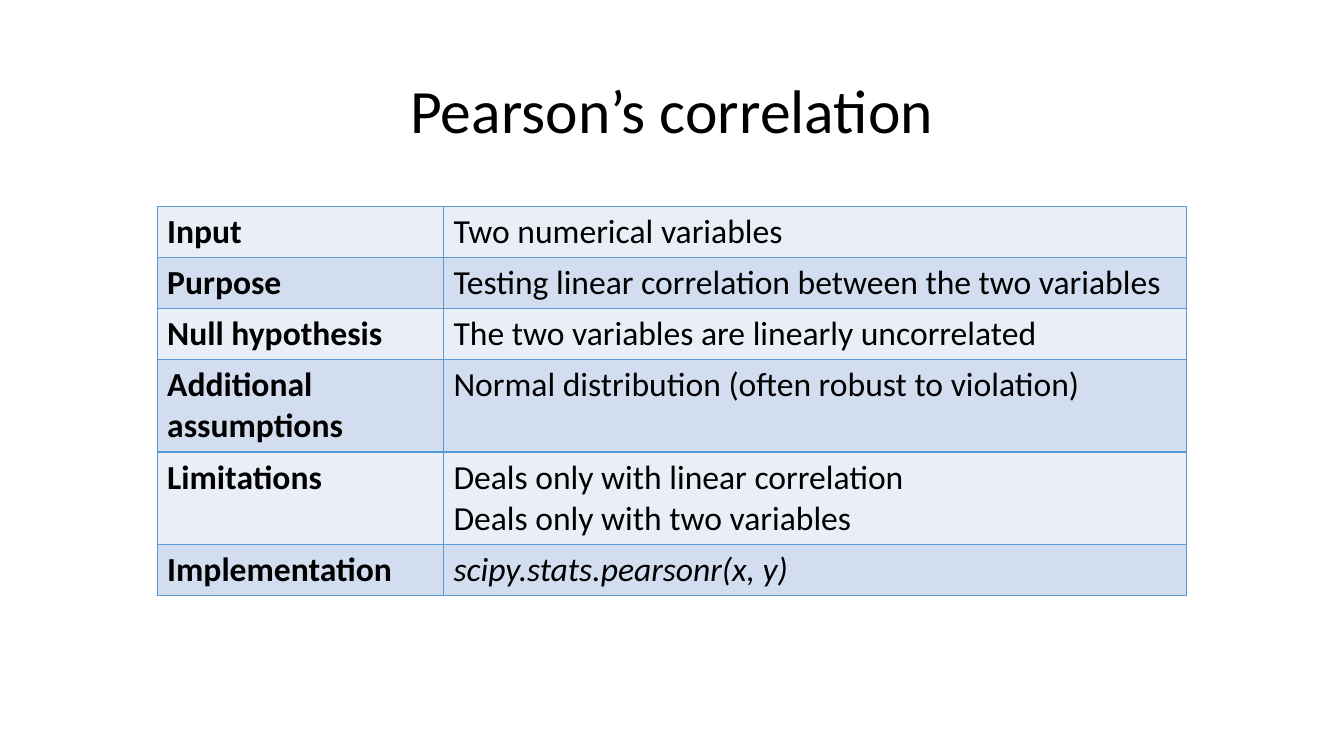
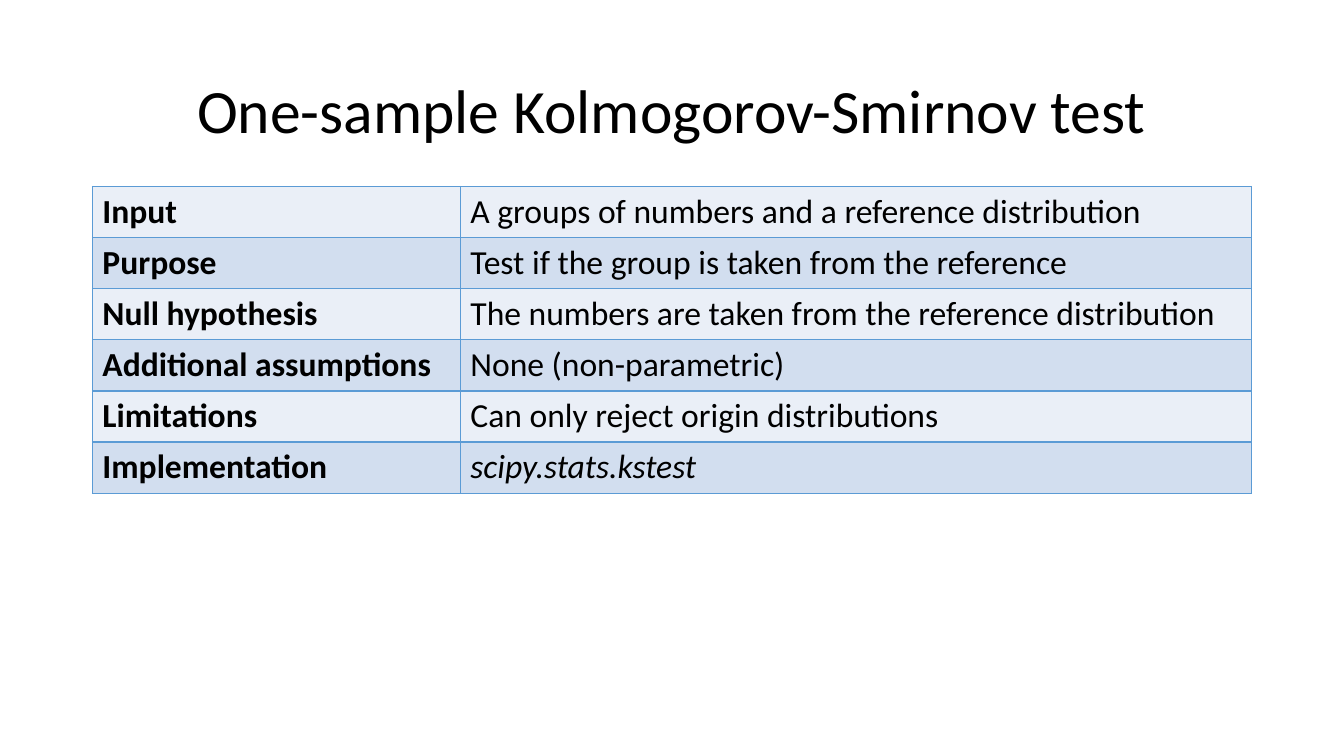
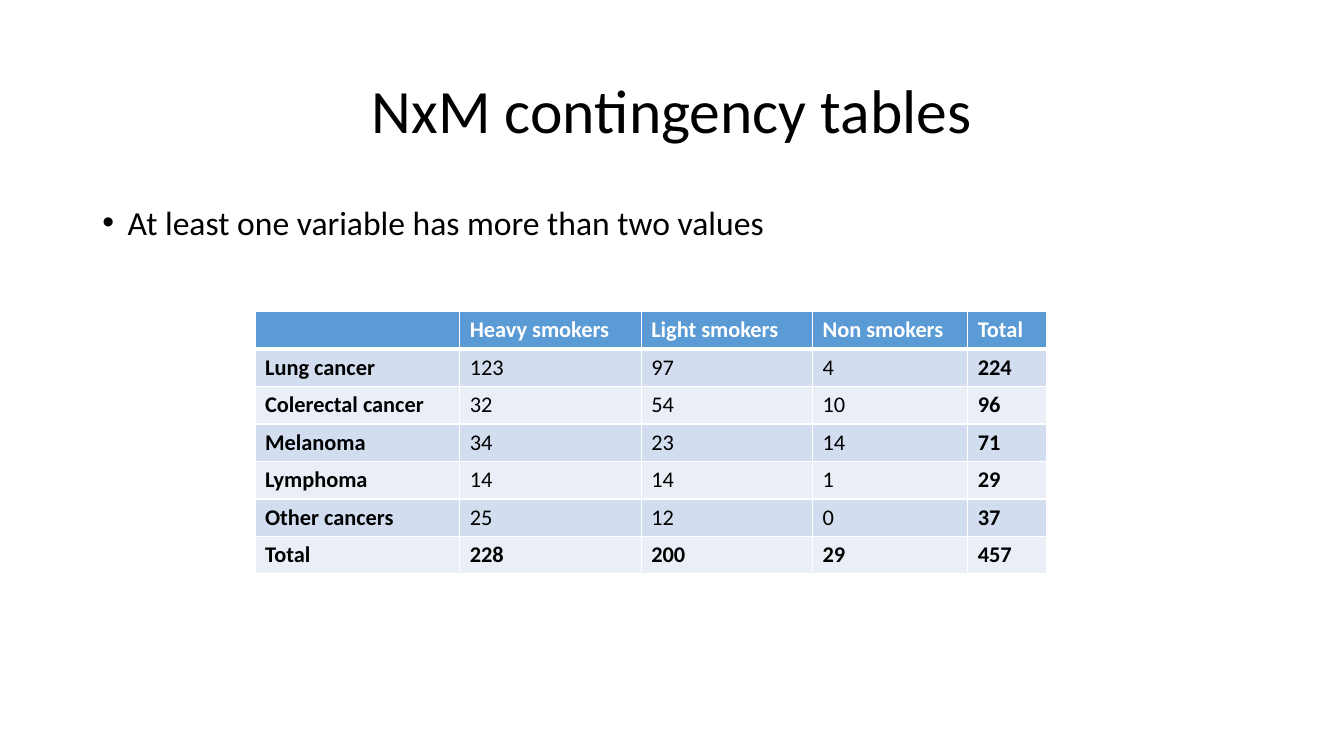
from lxml.etree import SubElement
from pptx import Presentation
from pptx.dml.color import RGBColor
from pptx.enum.text import MSO_ANCHOR, PP_ALIGN
from pptx.oxml.ns import qn
from pptx.util import Pt

BLACK = RGBColor(0x00, 0x00, 0x00)
WHITE = RGBColor(0xFF, 0xFF, 0xFF)
BLUE = RGBColor(0x5B, 0x9B, 0xD5)
LIGHT = RGBColor(0xEA, 0xEF, 0xF7)
MEDIUM = RGBColor(0xD2, 0xDE, 0xEF)

FONT = "Calibri"
MARGIN = 66
CONTENT_WIDTH = 828
TITLE_ONLY, TITLE_AND_BODY = 5, 1

TITLE_FONT = {"size": Pt(44), "color": BLACK}
TEXT_FONT = {"size": Pt(24), "color": BLACK}
DATA_FONT = {"size": Pt(16), "color": BLACK}

TEST_LABELS = ("Input", "Purpose", "Null hypothesis",
               "Additional assumptions", "Limitations", "Implementation")
PEARSON = (
    "Two numerical variables",
    "Testing linear correlation between the two variables",
    "The two variables are linearly uncorrelated",
    "Normal distribution (often robust to violation)",
    "Deals only with linear correlation\nDeals only with two variables",
    "scipy.stats.pearsonr(x, y)",
)
KOLMOGOROV_SMIRNOV = (
    "A groups of numbers and a reference distribution",
    "Test if the group is taken from the reference",
    "The numbers are taken from the reference distribution",
    "None (non-parametric)",
    "Can only reject origin distributions",
    "scipy.stats.kstest",
)
SMOKER_HEADS = ("", "Heavy smokers", "Light smokers", "Non smokers", "Total")
CANCER_COUNTS = {
    "Lung cancer": (123, 97, 4),
    "Colerectal cancer": (32, 54, 10),
    "Melanoma": (34, 23, 14),
    "Lymphoma": (14, 14, 1),
    "Other cancers": (25, 12, 0),
}


def format_font(font, values):
    font.name = FONT
    for name, value in values.items():
        if name == "color":
            font.color.rgb = value
        else:
            setattr(font, name, value)


def place(sp, left, top, width, height):
    box = {"left": left, "top": top, "width": width, "height": height}
    for name, value in box.items():
        setattr(sp, name, Pt(value))


def add_slide(prs, layout, title):
    s = prs.slides.add_slide(prs.slide_layouts[layout])
    sp = s.shapes.title
    place(sp, MARGIN, 28.75, CONTENT_WIDTH, 104.4)
    tf = sp.text_frame
    tf.text = title
    tf.vertical_anchor = MSO_ANCHOR.MIDDLE
    p = tf.paragraphs[0]
    p.alignment = PP_ALIGN.CENTER
    p.line_spacing = 0.9
    format_font(p.runs[0].font, TITLE_FONT)
    return s


def fill_body(s, text):
    sp = s.placeholders[1]
    place(sp, MARGIN, 143.75, CONTENT_WIDTH, 342.6)
    sp.text_frame.text = text
    p = sp.text_frame.paragraphs[0]
    p.line_spacing = 0.9
    p.space_before = Pt(0)
    pPr = p._p.get_or_add_pPr()
    pPr.set("marL", str(Pt(18)))
    pPr.set("indent", str(Pt(-18)))
    SubElement(pPr, qn("a:buFont"), typeface="Arial")
    SubElement(pPr, qn("a:buChar"), char="•")
    format_font(p.runs[0].font, TEXT_FONT)


def set_borders(cell, color, top=1, bottom=1):
    """Draw the four cell borders; call before the fill is set."""
    tcPr = cell._tc.get_or_add_tcPr()
    widths = {"a:lnL": 1, "a:lnR": 1, "a:lnT": top, "a:lnB": bottom}
    for tag, width in widths.items():
        ln = SubElement(tcPr, qn(tag), w=str(Pt(width)))
        SubElement(SubElement(ln, qn("a:solidFill")), qn("a:srgbClr"), val=str(color))


def set_cell(cell, text, fill, values):
    cell.fill.solid()
    cell.fill.fore_color.rgb = fill
    cell.text_frame.text = text
    for p in cell.text_frame.paragraphs:
        for r in p.runs:
            format_font(r.font, values)
        if not p.runs:
            SubElement(p._p, qn("a:endParaRPr"), sz=str(int(values["size"].pt * 100)))


def add_grid(s, left, top, widths, heights):
    """Add an unstyled table with the given column widths and row heights."""
    table = s.shapes.add_table(len(heights), len(widths), Pt(left), Pt(top),
                               Pt(sum(widths)), Pt(sum(heights))).table
    table.first_row = table.horz_banding = False
    for column, width in zip(table.columns, widths):
        column.width = Pt(width)
    for row, height in zip(table.rows, heights):
        row.height = Pt(height)
    return table


def add_test_table(s, descriptions, left, top, widths, heights):
    table = add_grid(s, left, top, widths, heights)
    for i, texts in enumerate(zip(TEST_LABELS, descriptions)):
        for j, text in enumerate(texts):
            cell = table.cell(i, j)
            set_borders(cell, BLUE)
            is_code = j == 1 and TEST_LABELS[i] == "Implementation"
            set_cell(cell, text, MEDIUM if i % 2 else LIGHT,
                     {**TEXT_FONT, "bold": j == 0, "italic": is_code})


def add_contingency_table(s, left, top, widths, row_height):
    counts = {**CANCER_COUNTS,
              "Total": [sum(column) for column in zip(*CANCER_COUNTS.values())]}
    rows = [SMOKER_HEADS]
    rows += [(name, *values, sum(values)) for name, values in counts.items()]
    table = add_grid(s, left, top, widths, [row_height] * len(rows))
    table.first_row = True
    last_row, last_column = len(rows) - 1, len(widths) - 1
    for i, row in enumerate(rows):
        for j, value in enumerate(row):
            cell = table.cell(i, j)
            set_borders(cell, WHITE, top=3 if i == 1 else 1, bottom=3 if i == 0 else 1)
            fill = BLUE if i == 0 else MEDIUM if i % 2 else LIGHT
            set_cell(cell, str(value), fill,
                     {**DATA_FONT, "color": BLACK if i else WHITE,
                      "bold": i in (0, last_row) or j in (0, last_column)})


def main():
    prs = Presentation()
    prs.slide_width, prs.slide_height = Pt(960), Pt(540)

    s = add_slide(prs, TITLE_ONLY, "Pearson’s correlation")
    add_test_table(s, PEARSON, 112.25, 147.4, (204.5, 530.75),
                   (36.5, 36.5, 36.5, 66, 66, 36.5))

    s = add_slide(prs, TITLE_ONLY, "One-sample Kolmogorov-Smirnov test")
    add_test_table(s, KOLMOGOROV_SMIRNOV, MARGIN, 133.2, (262.8, 565.2), [36.5] * 6)

    s = add_slide(prs, TITLE_AND_BODY, "NxM contingency tables")
    fill_body(s, "At least one variable has more than two values")
    add_contingency_table(s, 182.2, 222.5, (146.2, 129.6, 122.4, 110.9, 56.2), 26.8)

    prs.save("out.pptx")


if __name__ == "__main__":
    main()
